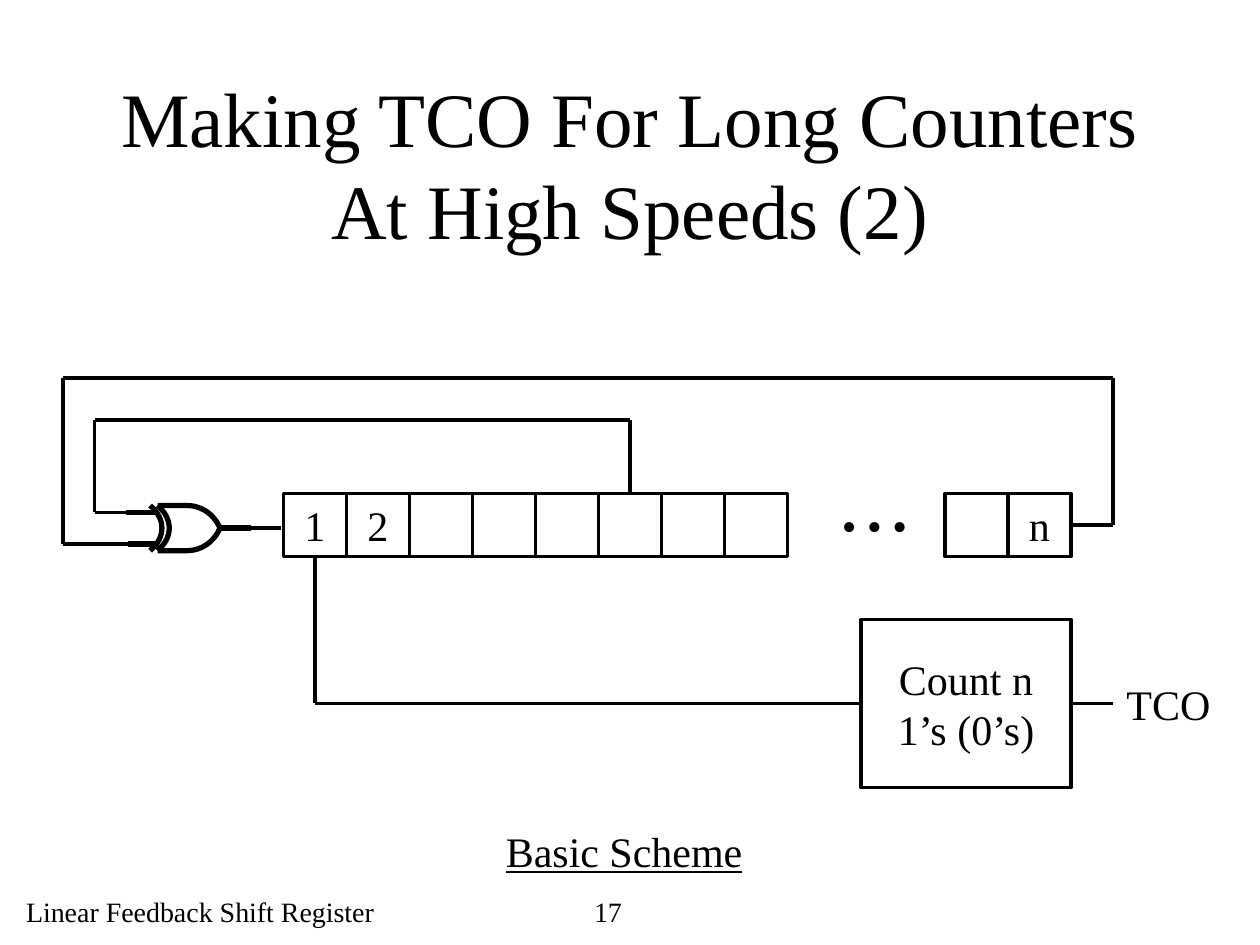
from dataclasses import dataclass, field
from typing import Optional

from lxml import etree
from pptx import Presentation
from pptx import util as u
from pptx.dml.color import RGBColor
from pptx.enum import shapes, text
from pptx.oxml.ns import qn

# Grid of 120 columns by 90 rows, so one unit is a twelfth of an inch.
COLUMNS, ROWS = 120, 90
UNIT = u.Inches(10) // COLUMNS
COLORS = {"ink": "000000"}
FONT = "Times New Roman"
WIRE, GATE = 2, 3
TOP, LEFT, BOTTOM, RIGHT = range(4)
CENTER = text.PP_ALIGN.CENTER

CELL, CELL_ROW = 6, 47
AXIS = 50.3  # row of the gate's output
UPPER, LOWER = AXIS - 1.5, AXIS + 1.5  # rows of the gate's inputs


@dataclass
class Label:
    lines: list[str]
    column: float
    row: float
    width: float
    height: float
    size: int = 24
    align: text.PP_ALIGN = text.PP_ALIGN.LEFT
    format: dict = field(default_factory=dict)


@dataclass
class Block:
    column: float
    row: float
    width: float
    height: float
    lines: list[str] = field(default_factory=list)


@dataclass
class Wire:
    start: tuple[float, float]
    end: tuple[float, float]
    width: int = WIRE
    joint: Optional[tuple[str, int]] = None  # block and side where it ends


LABELS = [
    Label(["Linear Feedback Shift Register"], 1.3, 84.6, 40, 4.4, 16),
    Label(["17"], 55.4, 84.6, 13.5, 4.4, 16),
    Label(["Making TCO For Long Counters At High Speeds (2)"],
          9, 8, 102, 15, 44, CENTER),
    Label(["• • •"], 79, CELL_ROW, 10, CELL),
    Label(["Basic Scheme"], 47, 78, 25, CELL, format={"underline": True}),
    Label(["TCO"], 106.1, 64, 12, CELL),
]

CELL_TEXT = {0: ["1"], 1: ["2"], 9: ["n"]}
CELL_COLUMNS = [27 + CELL * i for i in range(8)] + [90, 96]
BLOCKS = {
    f"cell {i}": Block(column, CELL_ROW, CELL, CELL, CELL_TEXT.get(i, []))
    for i, column in enumerate(CELL_COLUMNS)
}
BLOCKS["counter"] = Block(82, 59, 20, 16, ["Count n", "1’s (0’s)"])

WIRES = [
    # gate leads
    Wire((12, UPPER), (14.9, UPPER), GATE),
    Wire((12.2, LOWER), (15.1, LOWER), GATE),
    Wire((20.9, AXIS), (23.9, AXIS), GATE),
    Wire((23.8, AXIS), (26.8, AXIS)),
    # inner feedback
    Wire((12, UPPER), (9, UPPER)),
    Wire((9, 40), (9, UPPER)),
    Wire((60, 40), (9, 40)),
    Wire((60, 40), (60, 47), joint=("cell 5", TOP)),
    # outer feedback
    Wire((106, 36), (6, 36)),
    Wire((106, 36), (106, 50)),
    Wire((106, 50), (102, 50), joint=("cell 9", RIGHT)),
    Wire((6, 36), (6, LOWER)),
    Wire((12.2, LOWER), (6, LOWER)),
    # counter
    Wire((30, 67), (30, 53), joint=("cell 0", BOTTOM)),
    Wire((30, 67), (82, 67), joint=("counter", LEFT)),
    Wire((106, 67), (102, 67), joint=("counter", RIGHT)),
]


def grid(*values: float) -> list[int]:
    return [round(value * UNIT) for value in values]


def ink() -> RGBColor:
    return RGBColor.from_string(COLORS["ink"])


def set_line(shape, width: float) -> None:
    shape.line.color.rgb = ink()
    shape.line.width = u.Pt(width)


def write(frame, lines: list[str], size: int, align, extra: dict) -> None:
    frame.word_wrap = True
    frame.vertical_anchor = text.MSO_ANCHOR.MIDDLE
    font_format = {"name": FONT, "size": u.Pt(size), **extra}
    for i, line in enumerate(lines):
        paragraph = frame.paragraphs[0] if i == 0 else frame.add_paragraph()
        paragraph.alignment = align
        run = paragraph.add_run()
        run.text = line
        run.font.color.rgb = ink()
        for name, value in font_format.items():
            setattr(run.font, name, value)


def add_label(slide, label: Label) -> None:
    box = slide.shapes.add_textbox(
        *grid(label.column, label.row, label.width, label.height))
    write(box.text_frame, label.lines, label.size, label.align, label.format)


def add_block(slide, block: Block):
    shape = slide.shapes.add_shape(
        shapes.MSO_SHAPE.RECTANGLE,
        *grid(block.column, block.row, block.width, block.height))
    shape.shadow.inherit = False
    shape.fill.background()
    set_line(shape, WIRE)
    write(shape.text_frame, block.lines, 24, CENTER, {})
    return shape


def add_wire(slide, wire: Wire, blocks: dict) -> None:
    connector = slide.shapes.add_connector(
        shapes.MSO_CONNECTOR.STRAIGHT, *grid(*wire.start, *wire.end))
    set_line(connector, wire.width)
    etree.SubElement(connector._element.spPr, qn("a:effectLst"))
    if wire.joint:
        name, side = wire.joint
        connector.end_connect(blocks[name], side)


def bezier(*controls: tuple[float, float], steps: int = 16) -> list:
    """Sample a cubic curve given by four control points."""
    points = []
    for i in range(steps + 1):
        t = i / steps
        weights = ((1 - t) ** 3, 3 * t * (1 - t) ** 2,
                   3 * t * t * (1 - t), t ** 3)
        points.append(tuple(sum(w * point[k] for w, point in
                                zip(weights, controls)) for k in (0, 1)))
    return points


def add_outline(slide, points: list) -> None:
    start, *rest = [tuple(grid(*point)) for point in points]
    builder = slide.shapes.build_freeform(*start)
    builder.add_line_segments(rest, close=False)
    shape = builder.convert_to_shape()
    shape.shadow.inherit = False
    shape.fill.background()
    set_line(shape, GATE)


def add_xor_gate(slide) -> None:
    half = 2.15
    top, bottom = AXIS - half, AXIS + half
    for column in (14.3, 15):
        add_outline(slide, bezier((column, top), (column + 1.5, AXIS - 0.9),
                                  (column + 1.5, AXIS + 0.9), (column, bottom)))
    upper = [(15, top)] + bezier((17.8, top), (19.2, top),
                                 (20.4, AXIS - 1.3), (20.95, AXIS))
    lower = [(column, 2 * AXIS - row) for column, row in reversed(upper)]
    add_outline(slide, upper + lower[1:])


def main() -> None:
    presentation = Presentation()
    presentation.slide_width = COLUMNS * UNIT
    presentation.slide_height = ROWS * UNIT
    slide = presentation.slides.add_slide(presentation.slide_layouts[6])
    for label in LABELS:
        add_label(slide, label)
    blocks = {name: add_block(slide, block) for name, block in BLOCKS.items()}
    add_xor_gate(slide)
    for wire in WIRES:
        add_wire(slide, wire, blocks)
    presentation.save("out.pptx")


if __name__ == "__main__":
    main()
